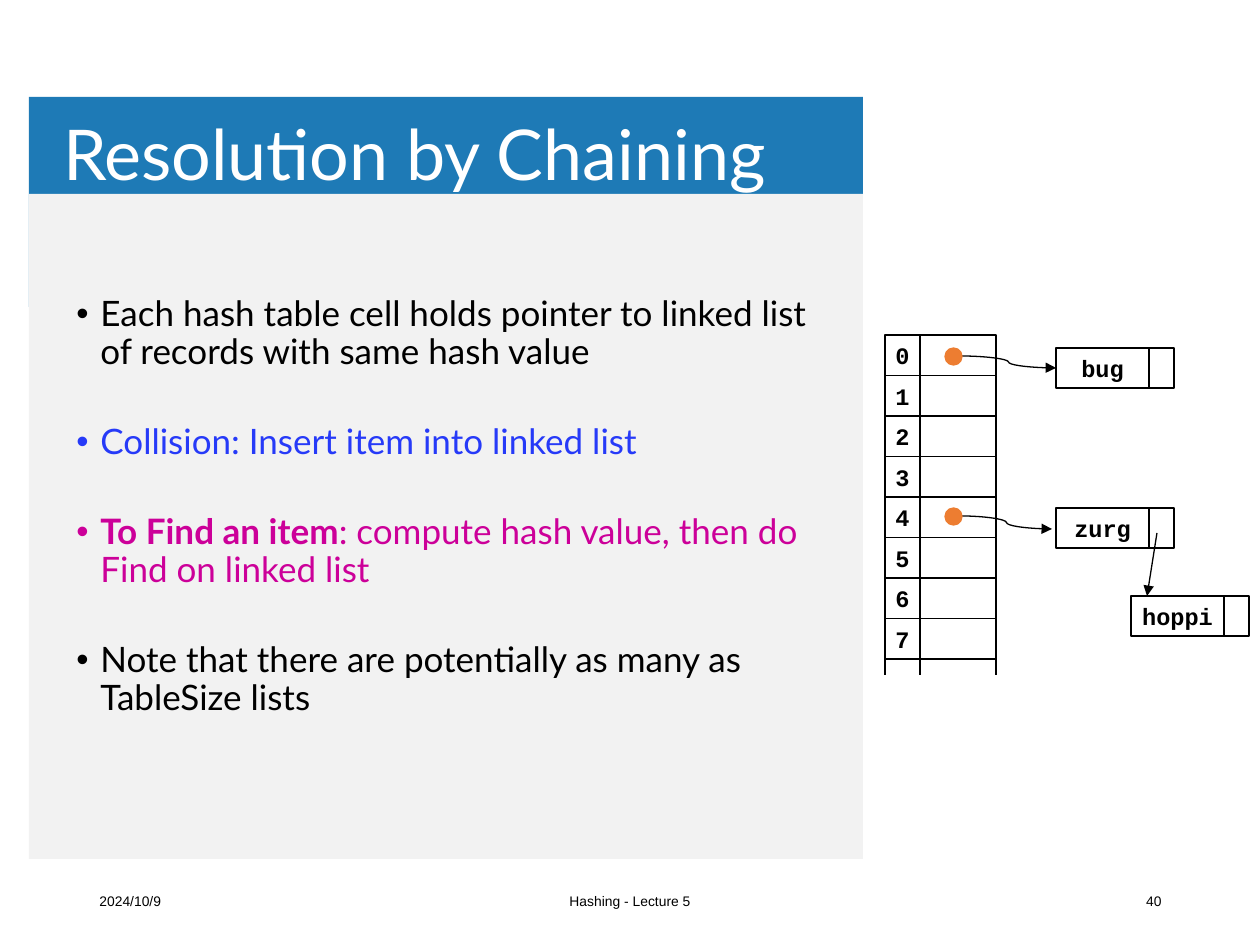
from pptx import Presentation
from pptx.dml.color import RGBColor
from pptx.enum.shapes import MSO_CONNECTOR, MSO_SHAPE
from pptx.enum.text import MSO_ANCHOR, MSO_AUTO_SIZE, PP_ALIGN
from pptx.oxml.ns import qn
from pptx.util import Emu, Pt
from lxml import etree

RECT, OVAL = MSO_SHAPE.RECTANGLE, MSO_SHAPE.OVAL
LINE, CURVE = MSO_CONNECTOR.STRAIGHT, MSO_CONNECTOR.CURVE
LEFT, MID, RIGHT = PP_ALIGN.LEFT, PP_ALIGN.CENTER, PP_ALIGN.RIGHT
BLACK = RGBColor(0, 0, 0)
WHITE = RGBColor(255, 255, 255)
BLUE = RGBColor(0x1E, 0x7A, 0xB6)
GREY = RGBColor(0xF2, 0xF2, 0xF2)
INK = RGBColor(0x26, 0x3A, 0xF8)
PINK = RGBColor(0xCC, 0x00, 0x99)
ORANGE = RGBColor(0xED, 0x7D, 0x31)

TITLE = "Resolution by Chaining"
PANELS = [((29, 97, 834, 210), BLUE), ((29, 194, 834, 665), GREY)]
# Each point: colour, bold lead, rest
POINTS = [
    (BLACK, "", "Each hash table cell holds pointer to linked list of records "
                "with same hash value"),
    (INK, "", "Collision: Insert item into linked list"),
    (PINK, "To Find an item", ": compute hash value, then do Find on linked list"),
    (BLACK, "", "Note that there are potentially as many as TableSize lists"),
]
FOOT = [("2024/10/9", 87, 283, LEFT), ("Hashing - Lecture 5", 417, 426, MID),
        ("40", 891, 283, RIGHT)]
SLOTS = 8
NODES = [("bug", 1056, 348), ("zurg", 1056, 508), ("hoppi", 1131, 596)]
DOTS = [(945, 348), (945, 508)]
ARROWS = [(CURVE, 961, 356, 1056, 368), (CURVE, 961, 516, 1052, 529),
          (LINE, 1157, 533, 1147, 596)]

# Hash table: left edges of its columns and right edge, top, row pitch
EDGES = (885, 920, 996)
TOP, PITCH, TAIL = 335, 40.5, 16
NODE_W, LINK_W, NODE_H, DOT = 93, 25, 40, 17


def px(n):
    return Emu(round(n * 914400 / 126))


def style(run, name, size, color, bold=False):
    font = run.font
    font.name, font.size, font.bold = name, Pt(size), bold
    font.color.rgb = color


def shape(slide, box, kind=RECT, fill=None, line=None):
    item = slide.shapes.add_shape(kind, *map(px, box))
    item.shadow.inherit = False
    if fill is None:
        item.fill.background()
    else:
        item.fill.solid()
        item.fill.fore_color.rgb = fill
    if line is None:
        item.line.fill.background()
    else:
        item.line.color.rgb = line
        item.line.width = Pt(0.75)
    return item


def cell(slide, box, text=""):
    item = shape(slide, box, line=BLACK)
    if text:
        frame = item.text_frame
        frame.word_wrap = False
        frame.vertical_anchor = MSO_ANCHOR.MIDDLE
        para = frame.paragraphs[0]
        para.text, para.alignment = text, MID
        style(para.runs[0], "Courier New", 13.5, BLACK, True)


def link(slide, kind, *ends, head=False):
    item = slide.shapes.add_connector(kind, *map(px, ends))
    item.line.color.rgb = BLACK
    item.line.width = Pt(0.75)
    if head:
        etree.SubElement(item.line._get_or_add_ln(), qn("a:tailEnd"), type="triangle")
    etree.SubElement(item._element.spPr, qn("a:effectLst"))


def textbox(slide, *box):
    frame = slide.shapes.add_textbox(*map(px, box)).text_frame
    frame.word_wrap = True
    return frame


def heading(slide):
    title = slide.shapes.title
    slide.shapes._spTree.append(title._element)  # in front of the panels
    title.left, title.top, title.width, title.height = map(px, (54, 96, 1012, 123))
    frame = title.text_frame
    frame.text = TITLE
    frame.auto_size = MSO_AUTO_SIZE.NONE
    frame.vertical_anchor = MSO_ANCHOR.MIDDLE
    frame.margin_left = frame.margin_right = px(9)
    frame.margin_top = frame.margin_bottom = px(5)
    para = frame.paragraphs[0]
    para.alignment, para.line_spacing = LEFT, 0.9
    style(para.runs[0], "Lato", 40, WHITE)


def bullets(slide):
    frame = textbox(slide, 64, 290, 757, 394)
    for i, (color, lead, rest) in enumerate(POINTS):
        para = frame.add_paragraph() if i else frame.paragraphs[0]
        props = para._p.get_or_add_pPr()
        props.set("marL", str(px(24)))
        props.set("indent", str(-px(24)))
        etree.SubElement(props, qn("a:buFont"), typeface="Arial")
        etree.SubElement(props, qn("a:buChar"), char="•")
        para.line_spacing = 0.9
        para.space_before = Pt(30 if i else 0)
        for text, bold in ((lead, True), (rest, False)):
            if text:
                run = para.add_run()
                run.text = text
                style(run, "Lato", 20, color, bold)


def footer(slide):
    for text, left, width, align in FOOT:
        frame = textbox(slide, left, 876, width, 50)
        frame.vertical_anchor = MSO_ANCHOR.MIDDLE
        para = frame.paragraphs[0]
        para.text, para.alignment = text, align
        style(para.runs[0], "Arial", 7.9, BLACK)


def diagram(slide):
    key, slot, end = EDGES
    for i in range(SLOTS):
        top = TOP + i * PITCH
        cell(slide, (key, top, slot - key, PITCH), str(i))
        cell(slide, (slot, top, end - slot, PITCH))
    base = TOP + SLOTS * PITCH
    for x in EDGES:
        link(slide, LINE, x, base, x, base + TAIL)
    for text, left, top in NODES:
        cell(slide, (left, top, NODE_W, NODE_H), text)
        cell(slide, (left + NODE_W, top, LINK_W, NODE_H))
    for arrow in ARROWS:
        link(slide, *arrow, head=True)
    for left, top in DOTS:
        shape(slide, (left, top, DOT, DOT), OVAL, ORANGE, ORANGE)


def main():
    deck = Presentation()
    deck.slide_width, deck.slide_height = px(1260), px(945)
    slide = deck.slides.add_slide(deck.slide_layouts[5])
    for box, color in PANELS:
        shape(slide, box, fill=color)
    heading(slide)
    footer(slide)
    bullets(slide)
    diagram(slide)
    deck.save("out.pptx")


if __name__ == "__main__":
    main()
